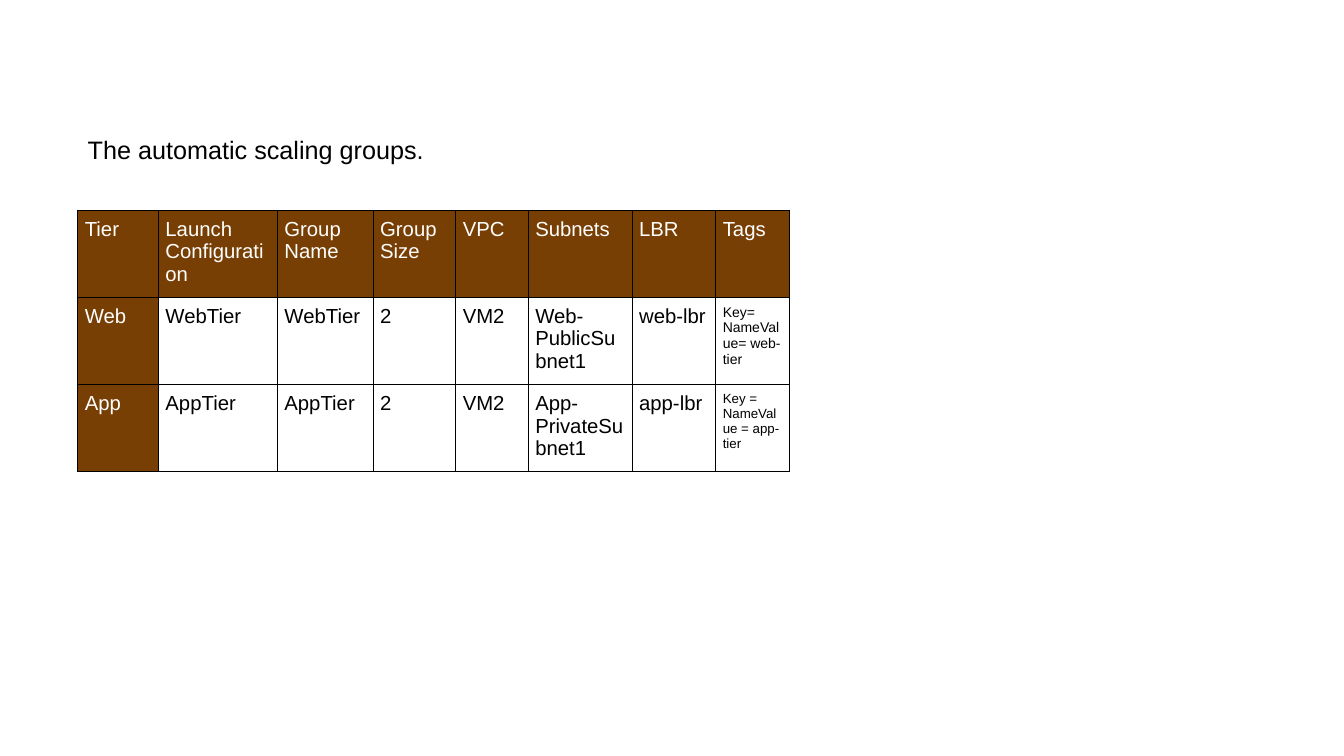
from pptx import Presentation
from pptx.dml.color import RGBColor
from pptx.enum.text import MSO_AUTO_SIZE as AutoSize
from pptx.oxml import parse_xml
from pptx.oxml.ns import nsdecls
from pptx.util import Pt

# Content
CAPTION = "The automatic scaling groups."
ROWS = [
    ("Tier", "Launch Configuration", "Group Name", "Group Size",
     "VPC", "Subnets", "LBR", "Tags"),
    ("Web", "WebTier", "WebTier", "2", "VM2", "Web-PublicSubnet1",
     "web-lbr", "Key= NameValue= web-tier"),
    ("App", "AppTier", "AppTier", "2", "VM2", "App-PrivateSubnet1",
     "app-lbr", "Key = NameValue = app-tier"),
]
TAG_SIZES = {1: 10, 2: 9.5}  # by row

# Format
BLACK = RGBColor(0, 0, 0)
WHITE = RGBColor(0xFF, 0xFF, 0xFF)
BROWN = RGBColor(0x78, 0x3F, 0x04)
FONT = "Arial"
LEFT = 55.6
TABLE_TOP = 150.4
COLUMN_WIDTHS = [57.6, 85, 68.4, 59, 51.8, 74.2, 59.8, 52.5]
ROW_HEIGHT = 62.2
SUBNETS, TAGS = 5, 7
INSETS = {f"margin_{side}": Pt(5) for side in ("left", "right", "top", "bottom")}


def write(para, text, size, color):
    span = para.add_run()
    span.text = text
    for name, value in {"name": FONT, "size": Pt(size)}.items():
        setattr(span.font, name, value)
    span.font.color.rgb = color


def add_borders(cell):
    properties = cell._tc.get_or_add_tcPr()
    for index, side in enumerate(("lnL", "lnR", "lnT", "lnB")):
        properties.insert(index, parse_xml(
            f'<a:{side} {nsdecls("a")} w="{Pt(1)}"><a:solidFill>'
            f'<a:srgbClr val="{BLACK}"/></a:solidFill></a:{side}>'))


deck = Presentation()
deck.slide_width, deck.slide_height = Pt(960), Pt(540)
page = deck.slides.add_slide(deck.slide_layouts[6])

# Scaling group table
frame = page.shapes.add_table(
    len(ROWS), len(COLUMN_WIDTHS), Pt(LEFT), Pt(TABLE_TOP),
    Pt(sum(COLUMN_WIDTHS)), Pt(ROW_HEIGHT * len(ROWS)))
table = frame.table
table.horz_banding = False
for column, width in zip(table.columns, COLUMN_WIDTHS):
    column.width = Pt(width)
for r, texts in enumerate(ROWS):
    table.rows[r].height = Pt(ROW_HEIGHT)
    for c, text in enumerate(texts):
        cell = table.cell(r, c)
        for name, value in INSETS.items():
            setattr(cell, name, value)
        heading = r == 0 or c == 0
        if heading:
            cell.fill.solid()
            cell.fill.fore_color.rgb = BROWN
        else:
            cell.fill.background()
        add_borders(cell)
        para = cell.text_frame.paragraphs[0]
        if c == SUBNETS and not heading:
            para.space_before = Pt(12)
        size = TAG_SIZES.get(r, 14.5) if c == TAGS else 14.5
        write(para, text, size, WHITE if heading else BLACK)
        para.runs[0].font.bold = False

# Caption
box = page.shapes.add_textbox(Pt(LEFT), Pt(92.2), Pt(480), Pt(29))
box.text_frame.word_wrap = True
box.text_frame.auto_size = AutoSize.SHAPE_TO_FIT_TEXT
write(box.text_frame.paragraphs[0], CAPTION, 18, BLACK)

deck.save("out.pptx")
